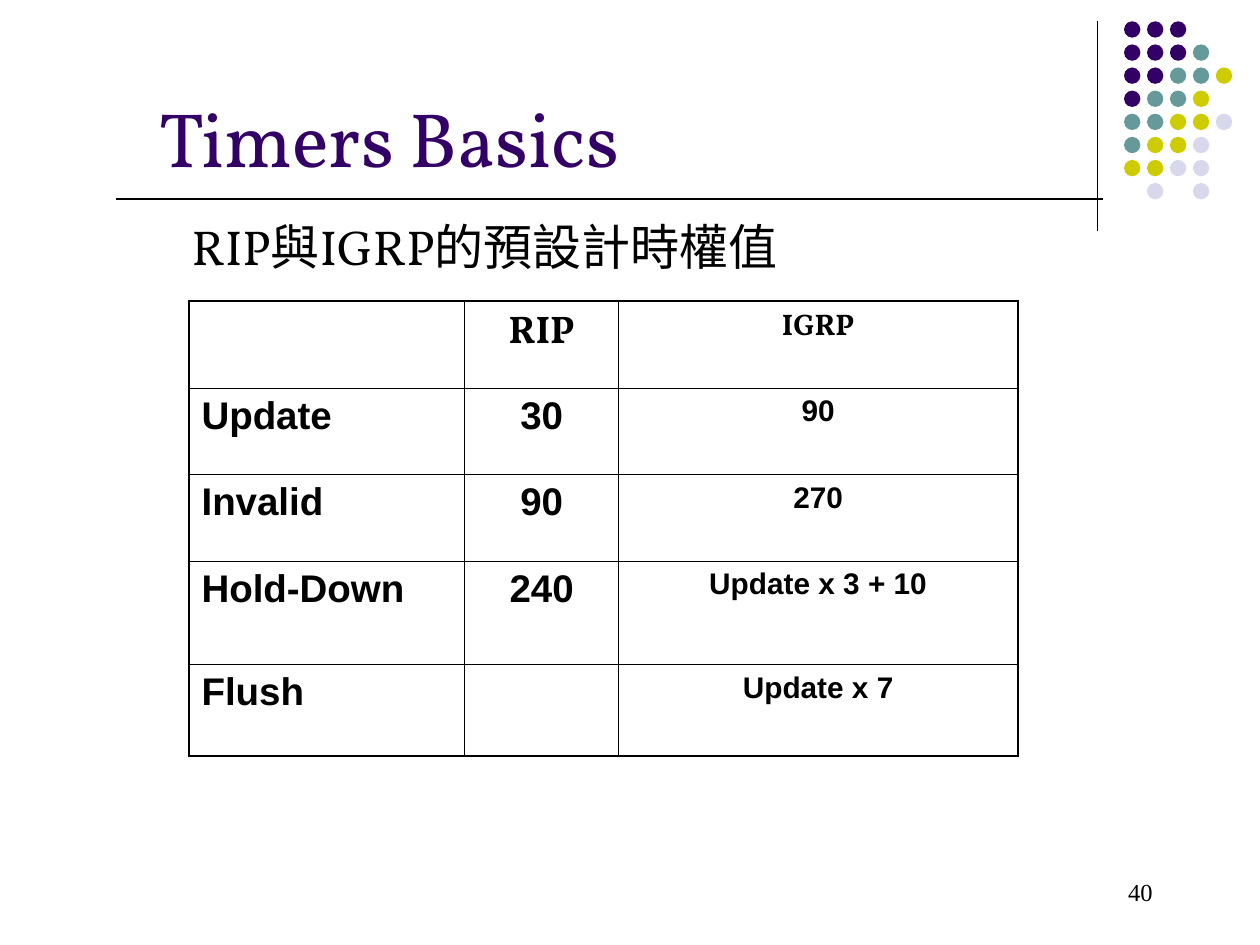
from lxml import etree
from pptx import Presentation
from pptx.dml.color import RGBColor
from pptx.enum.shapes import MSO_CONNECTOR, MSO_SHAPE
from pptx.enum.text import MSO_ANCHOR, MSO_AUTO_SIZE, PP_ALIGN
from pptx.oxml.ns import qn
from pptx.util import Cm, Pt

BLACK = RGBColor(0x00, 0x00, 0x00)
PURPLE = RGBColor(0x33, 0x00, 0x66)
TEAL = RGBColor(0x66, 0x99, 0x99)
OLIVE = RGBColor(0xCC, 0xCC, 0x00)
LAVENDER = RGBColor(0xD8, 0xD8, 0xEC)

LEFT, CENTER, RIGHT = PP_ALIGN.LEFT, PP_ALIGN.CENTER, PP_ALIGN.RIGHT
TOP, MIDDLE = MSO_ANCHOR.TOP, MSO_ANCHOR.MIDDLE
NO_AUTOFIT = MSO_AUTO_SIZE.NONE
STRAIGHT, OVAL = MSO_CONNECTOR.STRAIGHT, MSO_SHAPE.OVAL

SERIF, SANS, NUMBER_FONT = "Vollkorn", "Arial", "Times New Roman"
THIN, THICK = Pt(0.45), Pt(1.08)

DOT_COLORS = {"P": PURPLE, "T": TEAL, "O": OLIVE, "L": LAVENDER}
DOT_ROWS = ["PPP", "PPPT", "PPTTO", "PTTO", "TTOOL", "TOOL", "OOLL", " L L"]

TIMERS = [
    ["", "RIP", "IGRP"],
    ["Update", "30", "90"],
    ["Invalid", "90", "270"],
    ["Hold-Down", "240", "Update x 3 + 10"],
    ["Flush", "", "Update x 7"],
]
COLUMN_WIDTHS = [5.56, 3.1, 8.05]
ROW_HEIGHTS = [1.75, 1.75, 1.75, 2.08, 1.84]
COLUMN_SIZES = [22, 22, 17]


def add_rule(s, x1, y1, x2, y2):
    line = s.shapes.add_connector(STRAIGHT, Cm(x1), Cm(y1), Cm(x2), Cm(y2))
    line.line.color.rgb = BLACK
    line.line.width = Pt(0.75)
    etree.SubElement(line._element.spPr, qn("a:effectLst"))


def add_dots(s, x, y, width, height, dot):
    """Spread the dot pattern over the box, with dots of the given diameter."""
    x_step = (width - dot) / (max(map(len, DOT_ROWS)) - 1)
    y_step = (height - dot) / (len(DOT_ROWS) - 1)
    group = s.shapes.add_group_shape()
    for row, codes in enumerate(DOT_ROWS):
        for col, code in enumerate(codes):
            if code not in DOT_COLORS:
                continue
            sp = group.shapes.add_shape(OVAL, Cm(x + col * x_step), Cm(y + row * y_step),
                                        Cm(dot), Cm(dot))
            sp.shadow.inherit = False
            sp.fill.solid()
            sp.fill.fore_color.rgb = DOT_COLORS[code]
            sp.line.fill.background()


def write(p, text, size, font, color=BLACK, align=LEFT, bold=False):
    p.alignment = align
    r = p.add_run()
    r.text = text
    r.font.size = Pt(size)
    r.font.name = font
    r.font.bold = bold
    r.font.color.rgb = color


def place_text(sp, x, y, width, height, anchor=TOP):
    """Move a text shape to the box and return its first paragraph."""
    sp.left, sp.top, sp.width, sp.height = Cm(x), Cm(y), Cm(width), Cm(height)
    tf = sp.text_frame
    tf.word_wrap = True
    tf.auto_size = NO_AUTOFIT
    tf.vertical_anchor = anchor
    p = tf.paragraphs[0]
    p.space_before = Pt(0)
    return p


def add_heading(s, x, y, width, height):
    p = place_text(s.shapes.title, x, y, width, height)
    write(p, "Timers Basics", 44, SERIF, PURPLE)


def add_subtitle(s, x, y, width, height):
    p = place_text(s.placeholders[1], x, y, width, height)
    pPr = p._p.get_or_add_pPr()
    pPr.set("marL", "0")
    pPr.set("indent", "0")
    etree.SubElement(pPr, qn("a:buNone"))
    write(p, "RIP與IGRP的預設計時權值", 28, SERIF)


def add_slide_number(s, x, y, width, height):
    box = s.shapes.add_textbox(Cm(x), Cm(y), Cm(width), Cm(height))
    p = place_text(box, x, y, width, height, MIDDLE)
    write(p, "40", 14, NUMBER_FONT, align=RIGHT)


def set_borders(cell, widths):
    tcPr = cell._tc.get_or_add_tcPr()
    for i, (side, width) in enumerate(widths.items()):
        ln = etree.Element(qn(f"a:ln{side}"), w=str(int(width)))
        fill = etree.SubElement(ln, qn("a:solidFill"))
        etree.SubElement(fill, qn("a:srgbClr"), val=str(BLACK))
        tcPr.insert(i, ln)


def add_timer_table(s, x, y):
    last_row, last_col = len(ROW_HEIGHTS) - 1, len(COLUMN_WIDTHS) - 1
    table = s.shapes.add_table(last_row + 1, last_col + 1, Cm(x), Cm(y),
                               Cm(sum(COLUMN_WIDTHS)), Cm(sum(ROW_HEIGHTS))).table
    table.first_row = table.horz_banding = False
    for column, width in zip(table.columns, COLUMN_WIDTHS):
        column.width = Cm(width)
    for row, height in zip(table.rows, ROW_HEIGHTS):
        row.height = Cm(height)
    for i, texts in enumerate(TIMERS):
        for j, text in enumerate(texts):
            cell = table.cell(i, j)
            cell.fill.background()
            set_borders(cell, {
                "L": THICK if j == 0 else THIN,
                "R": THICK if j == last_col else THIN,
                "T": THICK if i == 0 else THIN,
                "B": THICK if i == last_row else THIN,
            })
            if text:
                write(cell.text_frame.paragraphs[0], text, COLUMN_SIZES[j],
                      SERIF if i == 0 else SANS,
                      align=LEFT if j == 0 else CENTER, bold=True)


def main():
    prs = Presentation()
    prs.slide_width, prs.slide_height = Cm(25.4), Cm(19.05)
    s = prs.slides.add_slide(prs.slide_layouts[1])
    add_rule(s, 22.12, 0.43, 22.12, 4.65)
    add_dots(s, 22.66, 0.43, 2.18, 3.59, 0.33)
    add_slide_number(s, 18.21, 17.35, 5.28, 1.27)
    add_rule(s, 2.34, 4.01, 22.23, 4.01)
    add_heading(s, 2.97, 1.7, 18.62, 2.13)
    add_subtitle(s, 3.61, 4.24, 14.61, 1.45)
    add_timer_table(s, 3.81, 6.07)
    prs.save("out.pptx")


if __name__ == "__main__":
    main()
